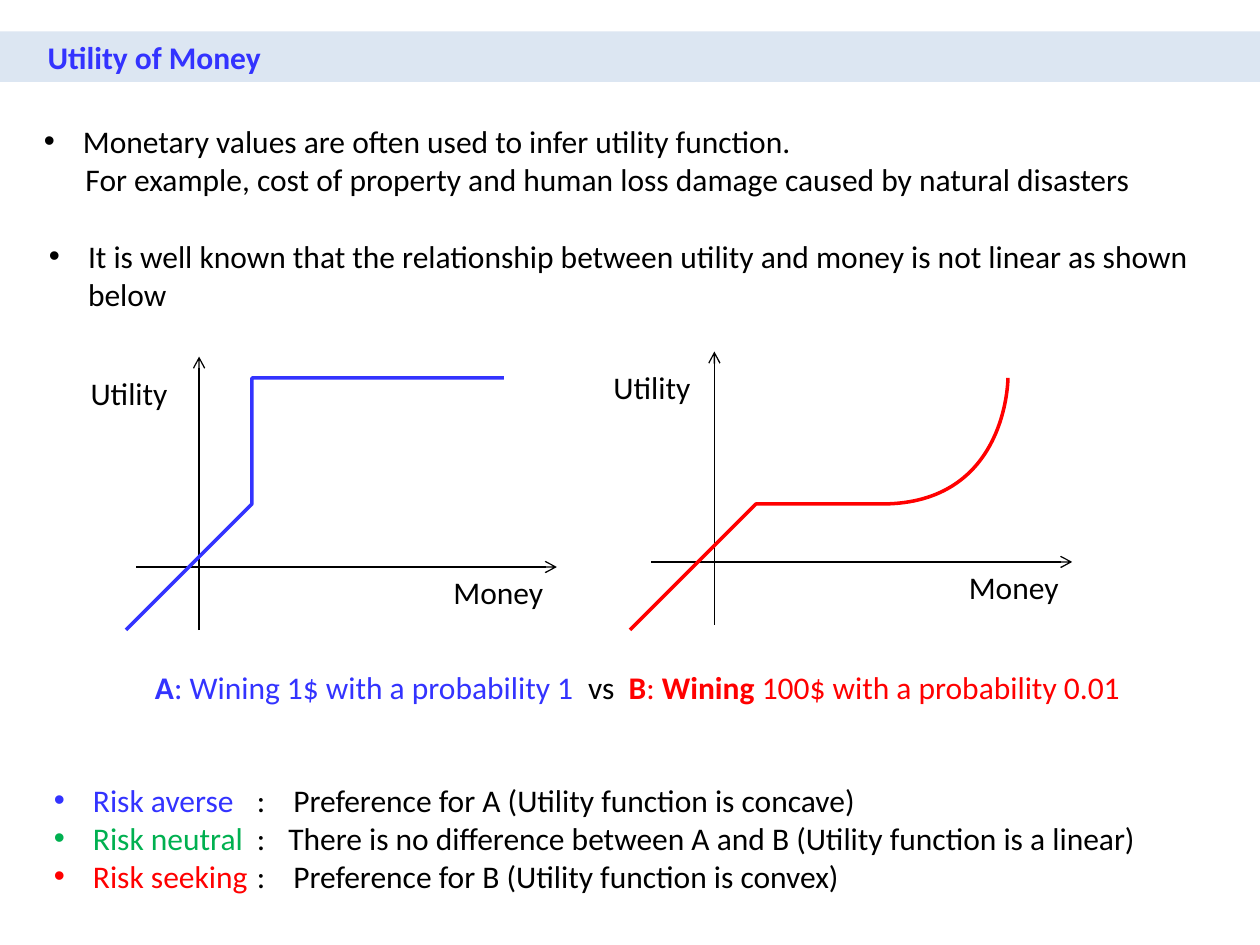
"""Build the Utility of Money slide with its two utility curves."""
from dataclasses import dataclass

from lxml import etree
from pptx import Presentation
from pptx.dml.color import RGBColor
from pptx.enum.shapes import MSO_CONNECTOR, MSO_SHAPE
from pptx.enum.text import MSO_ANCHOR, PP_ALIGN
from pptx.oxml.ns import qn
from pptx.util import Inches, Pt

STRAIGHT = MSO_CONNECTOR.STRAIGHT
RECTANGLE = MSO_SHAPE.RECTANGLE
MIDDLE = MSO_ANCHOR.MIDDLE
LEFT, CENTER = PP_ALIGN.LEFT, PP_ALIGN.CENTER

BLACK = RGBColor(0, 0, 0)
BLUE = RGBColor(0x33, 0x33, 0xFF)
RED = RGBColor(0xFF, 0, 0)
GREEN = RGBColor(0, 0xB0, 0x50)
PALE_BLUE = RGBColor(0xDC, 0xE6, 0xF2)
FONT = "Calibri"
HANGING = 0.31


@dataclass(frozen=True)
class Run:
    text: str
    color: RGBColor = BLACK
    bold: bool = False


@dataclass(frozen=True)
class Para:
    runs: tuple[Run, ...]
    bullet: bool = False
    indent: float = 0
    align: PP_ALIGN = LEFT
    tabs: tuple[float, ...] = ()


@dataclass(frozen=True)
class Block:
    box: tuple[float, float, float, float]
    paras: tuple[Para, ...]


@dataclass(frozen=True)
class Graph:
    origin: tuple[float, float]
    utility_at: tuple[float, float]
    color: RGBColor
    curve: tuple[tuple[float, float], ...]


TITLE = Para((Run("Utility of Money", BLUE, True),), indent=0.28)
RISKS = (
    ("Risk averse", BLUE, "Preference for A (Utility function is concave)", 1.9),
    ("Risk neutral", GREEN,
     "There is no difference between A and B (Utility function is a linear)", 1.86),
    ("Risk seeking", RED, "Preference for B (Utility function is convex)", 1.9),
)
BLOCKS = (
    Block((0.25, 0.92, 9.42, 0.71), (
        Para((Run("Monetary values are often used to infer utility function."),), True),
        Para((Run("For example, cost of property and human loss damage "
                  "caused by natural disasters"),), indent=0.33),
    )),
    Block((0.29, 1.83, 9.42, 0.71), (
        Para((Run("It is well known that the relationship between utility and money "
                  "is not linear as shown below"),), True),
    )),
    Block((0.6, 5.25, 8.92, 0.4), (
        Para((
            Run("A", BLUE, True),
            Run(": Wining 1$ with a probability 1  ", BLUE),
            Run("vs  "),
            Run("B", RED, True),
            Run(": ", RED),
            Run("Wining ", RED, True),
            Run("100$ with a probability 0.01", RED),
        ), align=CENTER),
    )),
    Block((0.33, 6.15, 9.5, 1.01), tuple(
        Para((Run(name, color), Run(f"\t:\t{meaning}")), True, tabs=(1.61, stop))
        for name, color, meaning, stop in RISKS
    )),
)
GRAPHS = (
    Graph((1.58, 4.5), (0.62, 2.92), BLUE, (
        (0.86, 5), (1.05, 4.96), (1.24, 4.92), (1.37, 4.83),
        (1.49, 4.74), (1.47, 4.71), (1.62, 4.45),
        (1.78, 4.19), (1.87, 3.51), (2.31, 3.26),
        (2.75, 3.01), (3.5, 2.99), (4.25, 2.97))),
    Graph((5.67, 4.46), (4.77, 2.87), RED, (
        (5.19, 4.98), (5.19, 4.99), (5.19, 4.99), (5.22, 4.93),
        (5.25, 4.87), (5.29, 4.7), (5.37, 4.62),
        (5.44, 4.54), (5.38, 4.54), (5.68, 4.45),
        (5.99, 4.36), (6.8, 4.33), (7.18, 4.08),
        (7.57, 3.82), (7.79, 3.37), (8, 2.91))),
)


def write_para(p, para: Para) -> None:
    p.alignment = para.align
    pPr = p._p.get_or_add_pPr()
    pPr.set("marL", str(Inches(HANGING if para.bullet else para.indent)))
    pPr.set("indent", str(Inches(-HANGING if para.bullet else 0)))
    if para.bullet:
        etree.SubElement(pPr, qn("a:buFont"), typeface="Arial")
        etree.SubElement(pPr, qn("a:buChar"), char="•")
    if para.tabs:
        tab_list = etree.SubElement(pPr, qn("a:tabLst"))
        for stop in para.tabs:
            etree.SubElement(tab_list, qn("a:tab"), pos=str(Inches(stop)), algn="l")
    for run in para.runs:
        r = p.add_run()
        r.text = run.text
        r.font.name, r.font.size, r.font.bold = FONT, Pt(18), run.bold
        r.font.color.rgb = run.color


def write_paras(tf, paras: tuple[Para, ...]) -> None:
    tf.word_wrap = True
    for i, para in enumerate(paras):
        write_para(tf.add_paragraph() if i else tf.paragraphs[0], para)


def add_block(s, block: Block) -> None:
    tb = s.shapes.add_textbox(*map(Inches, block.box))
    write_paras(tb.text_frame, block.paras)


def add_title(s) -> None:
    sp = s.shapes.add_shape(RECTANGLE, *map(Inches, (0, 0.25, 10, 0.4)))
    sp.shadow.inherit = False
    sp.fill.solid()
    sp.fill.fore_color.rgb = PALE_BLUE
    sp.line.fill.background()
    sp.text_frame.vertical_anchor = MIDDLE
    write_paras(sp.text_frame, (TITLE,))


def add_axis(s, x1: float, y1: float, x2: float, y2: float) -> None:
    cn = s.shapes.add_connector(STRAIGHT, *map(Inches, (x1, y1, x2, y2)))
    cn.line.color.rgb = BLACK
    cn.line.width = Pt(0.75)
    etree.SubElement(cn.line._get_or_add_ln(), qn("a:tailEnd"), type="arrow")
    etree.SubElement(cn._element.spPr, qn("a:effectLst"))


def add_curve(s, graph: Graph) -> None:
    start, *rest = graph.curve
    builder = s.shapes.build_freeform(*start, scale=Inches(1) / 1.0)
    builder.add_line_segments(rest, close=False)
    sp = builder.convert_to_shape()
    sp.shadow.inherit = False
    sp.fill.background()
    sp.line.color.rgb = graph.color
    sp.line.width = Pt(2)
    outline = sp._element.spPr.find(".//" + qn("a:path"))
    lines = outline.findall(qn("a:lnTo"))
    for i in range(0, len(lines), 3):
        bezier = etree.SubElement(outline, qn("a:cubicBezTo"))
        for line in lines[i:i + 3]:
            bezier.append(line[0])
            outline.remove(line)


def add_graph(s, graph: Graph) -> None:
    x, y = graph.origin
    add_axis(s, x, y + 0.5, x, y - 1.67)
    add_axis(s, x - 0.5, y, x + 2.84, y)
    for label, at in (("Money", (x + 1.92, y)), ("Utility", graph.utility_at)):
        add_block(s, Block((*at, 0.92, 0.42), (Para((Run(label),)),)))
    add_curve(s, graph)


def main() -> None:
    prs = Presentation()
    prs.slide_width, prs.slide_height = Inches(10), Inches(7.5)
    s = prs.slides.add_slide(prs.slide_layouts[6])
    add_title(s)
    for block in BLOCKS:
        add_block(s, block)
    for graph in GRAPHS:
        add_graph(s, graph)
    prs.save("out.pptx")


if __name__ == "__main__":
    main()
